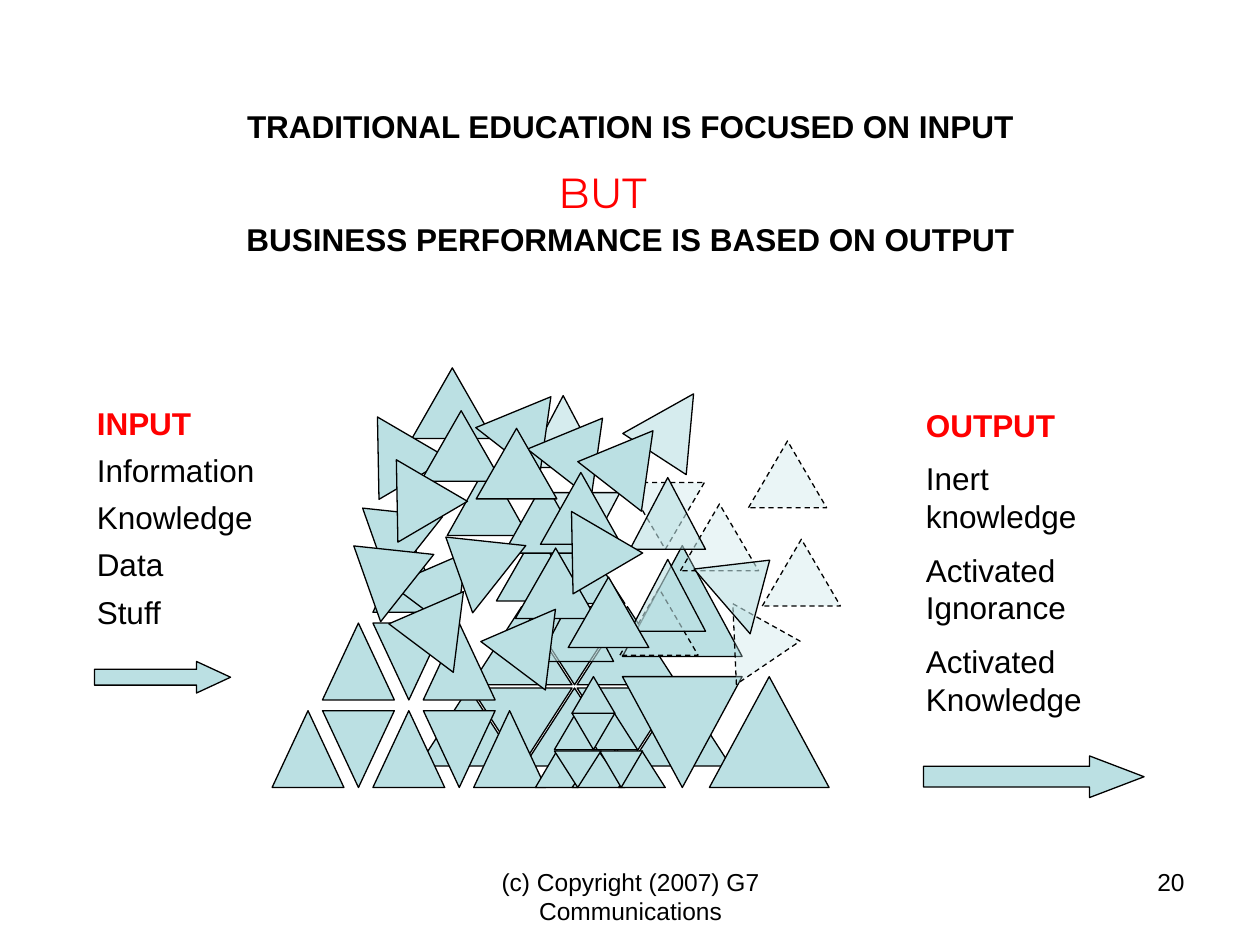
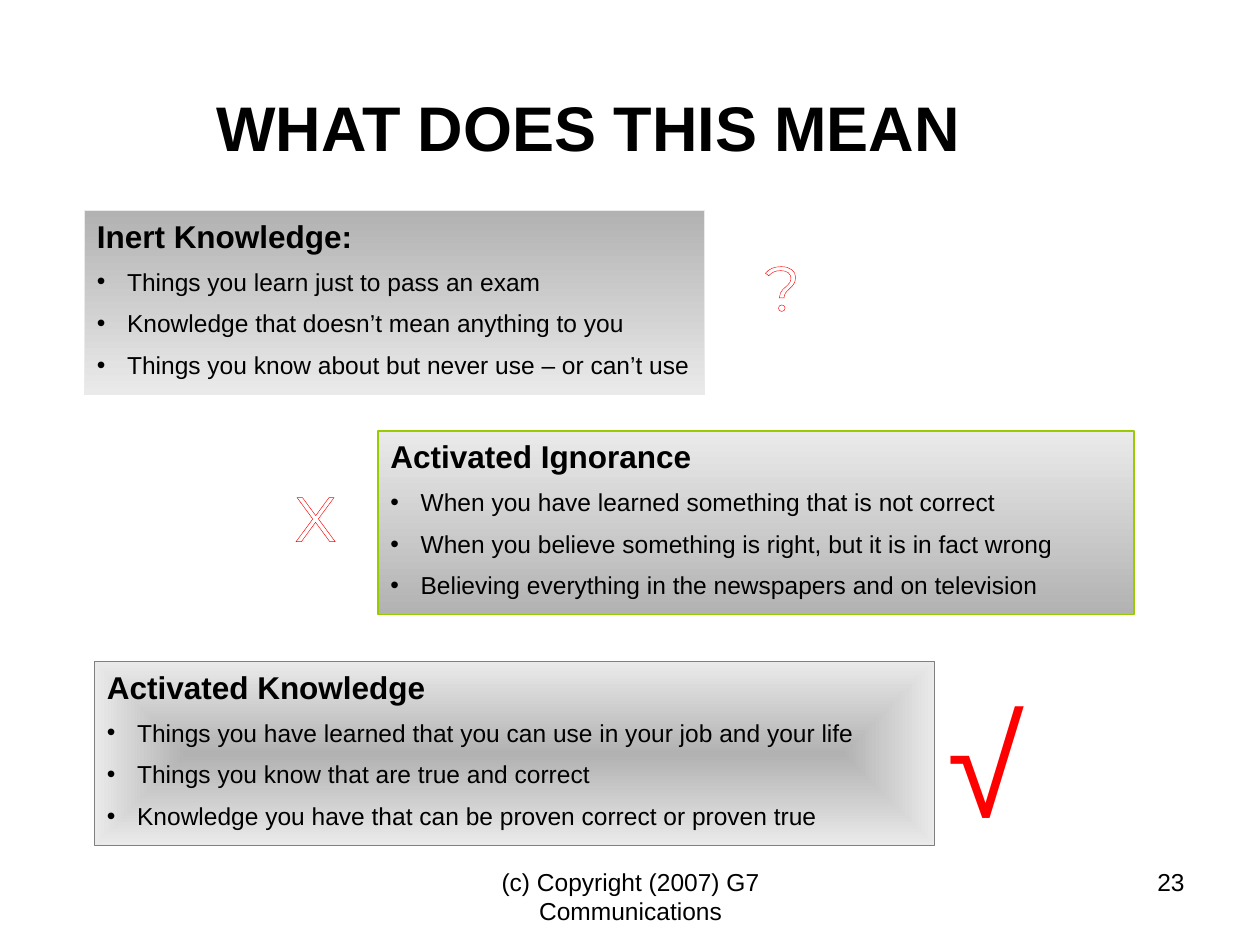
from itertools import cycle

from lxml import etree
from pptx import Presentation
from pptx.dml.color import RGBColor
from pptx.enum.dml import MSO_LINE_DASH_STYLE as Dash
from pptx.enum.shapes import MSO_SHAPE as Shape
from pptx.enum.text import MSO_ANCHOR as Anchor, PP_ALIGN as Align
from pptx.oxml import parse_xml
from pptx.oxml.ns import nsdecls, qn
from pptx.util import Inches, Pt

# Shared look
BLACK, WHITE, RED, TEAL = "000000", "FFFFFF", "FF0000", "BBE0E3"
DARK_GREY, LIGHT_GREY = "B2B2B2", "EAEAEA"
BODY_FONT, SIGN_FONT = "Arial", "Montserrat"
FOOTER = "(c) Copyright (2007) G7 Communications"
LINE_WIDTH = 0.75

# Slide 1: wording
HEADLINES = ["TRADITIONAL EDUCATION IS FOCUSED ON INPUT",
             "BUSINESS PERFORMANCE IS BASED ON OUTPUT"]
INPUTS = ["INPUT", "Information", "Knowledge", "Data", "Stuff"]
OUTPUTS = ["OUTPUT", "Inert knowledge", "Activated Ignorance",
           "Activated Knowledge"]
ARROWS = [((7.33, 6, 1.75, 0.33), 1.31), ((0.75, 5.25, 1.08, 0.25), 1.08)]

# Slide 1: ordered pyramids as apex left, apex top, column step, row step, size
PYRAMIDS = [(4.16, 4.17, 0.42, 0.645, (0.8, 0.62)),
            (2.96, 4.25, 0.4, 0.695, (0.57, 0.61))]

# Slide 1: triangles as left, top, width, height, rotation
MIXED_SIZES = [
    (4.25, 5.96, 0.34, 0.29, 0), (4.69, 5.66, 0.37, 0.29, 0),
    (4.54, 5.96, 0.42, 0.29, 0), (4.91, 5.96, 0.37, 0.29, 0),
    (4.76, 5.96, 0.34, 0.29, 180), (4.4, 5.96, 0.37, 0.29, 180),
    (4.4, 5.66, 0.34, 0.29, 0), (4.54, 5.66, 0.34, 0.29, 180),
    (4.54, 5.37, 0.34, 0.29, 0), (5.63, 5.37, 0.95, 0.88, 0),
    (4.94, 5.37, 0.95, 0.88, 180), (4.94, 4.33, 0.95, 0.88, 0),
]
FADING = [
    (5.94, 3.5, 0.62, 0.53, 0), (6.05, 4.28, 0.62, 0.53, 0),
    (5.77, 4.84, 0.64, 0.52, 87.5), (4.92, 4.67, 0.62, 0.53, 0),
    (5.4, 4, 0.62, 0.53, 0), (4.97, 3.83, 0.62, 0.53, 180),
]
PALE = [
    (5.58, 4.36, 0.68, 0.5, 49.1), (4.32, 3.91, 0.6, 0.57, 180),
    (5, 3.79, 0.6, 0.57, 0), (4.17, 3.14, 0.6, 0.57, 0),
    (4.27, 4.68, 0.6, 0.57, 0), (5, 4.44, 0.6, 0.57, 0),
    (5.05, 3.08, 0.6, 0.57, 33),
]

# Slide 1: the loose heap repeats seven poses (width, height, rotation)
HEAP_POSES = [(0.64, 0.56, 0), (0.64, 0.57, 0), (0.64, 0.56, 36.9),
              (0.68, 0.54, 308.3), (0.64, 0.56, 0), (0.64, 0.57, 329.6),
              (0.64, 0.56, 37.9)]
HEAP_PLACES = [
    (3.27, 2.92), (3.55, 3.68), (3.21, 4.33), (2.75, 3.93), (3.94, 4.21),
    (2.82, 3.27), (3.88, 3.09),
    (3.34, 3.26), (4, 3.82), (3.19, 4.64), (2.68, 4.23), (4.09, 4.35),
    (2.97, 3.61), (4.29, 3.26),
    (3.78, 3.4), (4.29, 3.75), (3.92, 4.78), (3.41, 4.16), (4.51, 4.58),
    (4.36, 4.02), (4.69, 3.36),
]

# Slide 2: panels with place, line colour, gradient, shading from the centre
PANELS = [
    ((0.67, 1.67, 4.92, 1.46), LIGHT_GREY, (DARK_GREY, LIGHT_GREY), False,
     ["Inert Knowledge:",
      "Things you learn just to pass an exam",
      "Knowledge that doesn’t mean anything to you",
      "Things you know about but never use – or can’t use"]),
    ((3, 3.42, 6, 1.46), "99CC00", (LIGHT_GREY, DARK_GREY), False,
     ["Activated Ignorance",
      "When you have learned something that is not correct",
      "When you believe something is right, but it is in fact wrong",
      "Believing everything in the newspapers and on television"]),
    ((0.75, 5.25, 6.67, 1.46), "808080", (DARK_GREY, LIGHT_GREY), True,
     ["Activated Knowledge",
      "Things you have learned that you can use in your job and your life",
      "Things you know that are true and correct",
      "Knowledge you have that can be proven correct or proven true"]),
]
SIGNS = [("?", (5.92, 1.92, 0.58, 0.75)), ("X", (2.17, 3.75, 0.67, 0.75))]


def color(hex_string):
    return RGBColor.from_string(hex_string)


def inches(place):
    return [Inches(value) for value in place]


def set_font(font, size, hex_color=BLACK, bold=False, name=BODY_FONT):
    font.name, font.size, font.bold = name, Pt(size), bold
    font.color.rgb = color(hex_color)


def add_text(slide, place, lines, size, hex_color=BLACK, bold=False,
             align=Align.LEFT, anchor=Anchor.TOP):
    """Add a text box with one paragraph a line, and return its paragraphs."""
    frame = slide.shapes.add_textbox(*inches(place)).text_frame
    frame.word_wrap, frame.vertical_anchor = True, anchor
    frame.text = "\n".join(lines)
    for paragraph in frame.paragraphs:
        paragraph.alignment = align
        set_font(paragraph.font, size, hex_color, bold)
    return frame.paragraphs


def add_sign(slide, text, place, size, fill, outline):
    """Add a word in outlined letters, on one line."""
    frame = slide.shapes.add_textbox(*inches(place)).text_frame
    frame.word_wrap = False
    frame.margin_left = frame.margin_right = 0
    paragraph = frame.paragraphs[0]
    paragraph.alignment = Align.CENTER
    run = paragraph.add_run()
    run.text = text
    set_font(run.font, size, fill, name=SIGN_FONT)
    run._r.get_or_add_rPr().insert(0, parse_xml(
        f'<a:ln {nsdecls("a")} w="{Pt(LINE_WIDTH)}"><a:solidFill>'
        f'<a:srgbClr val="{outline}"/></a:solidFill></a:ln>'))


def add_outlined(shapes, kind, place, line=BLACK, fill=TEAL):
    shape = shapes.add_shape(kind, *inches(place))
    shape.shadow.inherit = False
    shape.fill.solid()
    shape.fill.fore_color.rgb = color(fill)
    shape.line.color.rgb = color(line)
    shape.line.width = Pt(LINE_WIDTH)
    return shape


def add_triangles(slide, triangles, opacity=100, dashed=False):
    """Add one group of triangles."""
    group = slide.shapes.add_group_shape()
    for *place, rotation in triangles:
        triangle = add_outlined(group.shapes, Shape.ISOSCELES_TRIANGLE, place)
        triangle.rotation = rotation
        if opacity < 100:
            fill_color = triangle._element.spPr.find(qn("a:solidFill"))[0]
            alpha = etree.SubElement(fill_color, qn("a:alpha"))
            alpha.set("val", str(opacity * 1000))
        if dashed:
            triangle.line.dash_style = Dash.DASH


def pyramid(left, top, column_step, row_step, size):
    """Three rows in which every second triangle points down."""
    return [(left + (column - row) * column_step, top + row * row_step,
             *size, 180 * (column % 2))
            for row in range(3) for column in range(2 * row + 1)]


def add_bullet(paragraph):
    properties = paragraph._p.get_or_add_pPr()
    properties.set("marL", str(Inches(0.24)))
    properties.set("indent", str(-Inches(0.24)))
    etree.SubElement(properties, qn("a:buFont")).set("typeface", BODY_FONT)
    etree.SubElement(properties, qn("a:buChar")).set("char", "•")


def add_panel(slide, place, line, gradient, from_centre, lines):
    panel = add_outlined(slide.shapes, Shape.RECTANGLE, place, line)
    panel.fill.gradient()
    for stop, hex_color in zip(panel.fill.gradient_stops, gradient):
        stop.color.rgb = color(hex_color)
    panel.fill.gradient_angle = 270
    if from_centre:
        linear = panel._element.spPr.find(qn("a:gradFill")).find(qn("a:lin"))
        linear.getparent().replace(linear, parse_xml(
            f'<a:path {nsdecls("a")} path="shape"><a:fillToRect l="50000" '
            't="50000" r="50000" b="50000"/></a:path>'))
    frame = panel.text_frame
    frame.word_wrap, frame.vertical_anchor = True, Anchor.TOP
    frame.text = "\n".join(lines)
    for index, paragraph in enumerate(frame.paragraphs):
        paragraph.alignment = Align.LEFT
        if index:
            paragraph.space_before = Pt(7)
            add_bullet(paragraph)
        set_font(paragraph.font, 14 if index else 18, bold=index == 0)


def new_slide(presentation, number):
    """Add a blank slide with its footer and number."""
    slide = presentation.slides.add_slide(presentation.slide_layouts[6])
    add_text(slide, (3.42, 6.83, 3.17, 0.52), [FOOTER], 14, align=Align.CENTER)
    add_text(slide, (7.17, 6.83, 2.33, 0.52), [number], 14, align=Align.RIGHT)
    return slide


def build_input_output(presentation):
    slide = new_slide(presentation, "20")

    # Heap of triangles, from back to front
    for rule in PYRAMIDS:
        add_triangles(slide, pyramid(*rule))
    add_triangles(slide, MIXED_SIZES)
    add_triangles(slide, FADING, opacity=30, dashed=True)
    add_triangles(slide, PALE, opacity=60)
    add_triangles(slide, [place + pose for place, pose
                          in zip(HEAP_PLACES, cycle(HEAP_POSES))])

    # Headlines, with room for the word between them
    headlines = add_text(slide, (0.92, 0.64, 8.17, 1.61), HEADLINES, 18,
                         bold=True, align=Align.CENTER, anchor=Anchor.MIDDLE)
    headlines[1].space_before = Pt(43)

    # Lists on both sides
    inputs = add_text(slide, (0.67, 3.08, 1.5, 1.98), INPUTS, 18)
    for paragraph in inputs:
        paragraph.line_spacing = 1.25
    outputs = add_text(slide, (7.25, 3.17, 1.67, 2.66), OUTPUTS, 18)
    for paragraph in outputs[1:]:
        paragraph.space_before = Pt(9)
    for heading in (inputs[0], outputs[0]):
        set_font(heading.font, 18, RED, bold=True)

    for place, head_length in ARROWS:
        arrow = add_outlined(slide.shapes, Shape.RIGHT_ARROW, place)
        arrow.adjustments[1] = head_length
    add_sign(slide, "BUT", (4.33, 1.27, 0.9, 0.32), 24, RED, BLACK)


def build_meaning(presentation):
    slide = new_slide(presentation, "23")
    add_text(slide, (1.46, 0.75, 6.42, 0.5), ["WHAT DOES THIS MEAN"], 36,
             bold=True, align=Align.CENTER, anchor=Anchor.MIDDLE)
    for panel in PANELS:
        add_panel(slide, *panel)
    for text, place in SIGNS:
        add_sign(slide, text, place, 36, WHITE, RED)
    add_text(slide, (7.42, 5.33, 1.08, 1.43), ["√"], 80, RED,
             anchor=Anchor.MIDDLE)


def main():
    presentation = Presentation()
    presentation.slide_width, presentation.slide_height = inches((10, 7.5))
    build_input_output(presentation)
    build_meaning(presentation)
    presentation.save("out.pptx")


if __name__ == "__main__":
    main()
